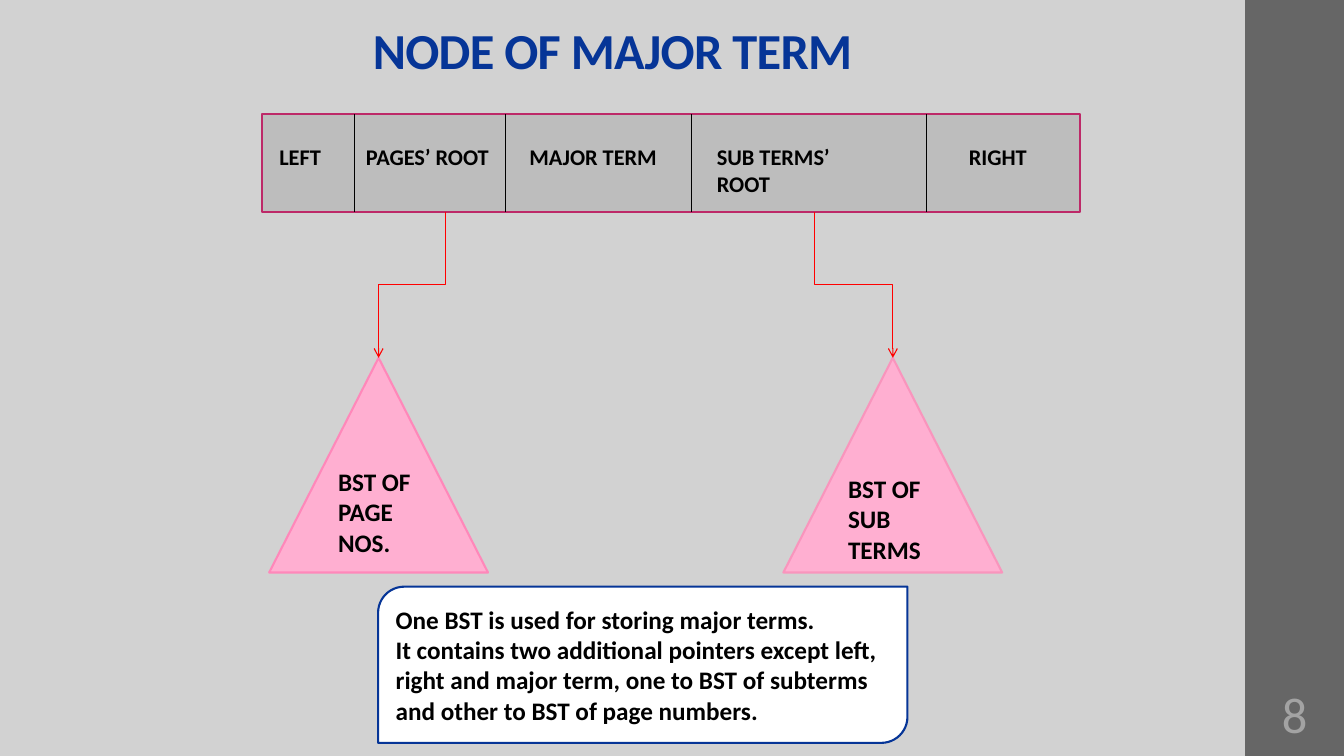
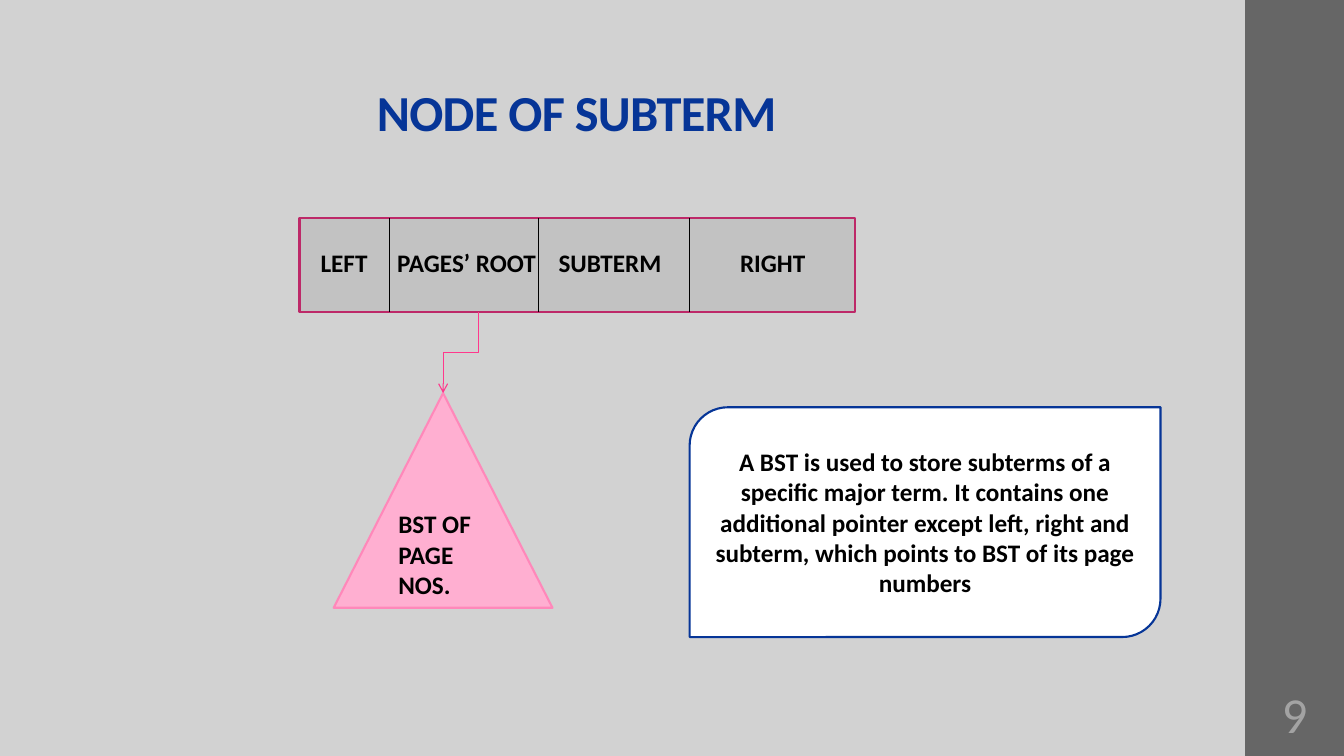
from dataclasses import dataclass

from pptx import Presentation
from pptx.dml.color import RGBColor
from pptx.enum.shapes import MSO_CONNECTOR, MSO_SHAPE
from pptx.enum.text import MSO_ANCHOR, PP_ALIGN
from pptx.oxml.ns import qn
from pptx.oxml.xmlchemy import OxmlElement
from pptx.util import Inches, Pt

RECT = MSO_SHAPE.RECTANGLE
TRIANGLE = MSO_SHAPE.ISOSCELES_TRIANGLE
DIAG_RECT = MSO_SHAPE.ROUND_2_DIAG_RECTANGLE
STRAIGHT, ELBOW = MSO_CONNECTOR.STRAIGHT, MSO_CONNECTOR.ELBOW
TOP, MIDDLE, BOTTOM = MSO_ANCHOR.TOP, MSO_ANCHOR.MIDDLE, MSO_ANCHOR.BOTTOM
LEFT, CENTER = PP_ALIGN.LEFT, PP_ALIGN.CENTER

FONT = "Calibri"
BACKGROUND, BAND, NUMBER = "D2D2D2", "666666", "A3A3A3"
BLUE, BLACK, WHITE = "063597", "000000", "FFFFFF"
NODE_LINE, TREE_FILL = "BD2968", "FFAFD1"
SLIDE_W, SLIDE_H = 13.33, 7.5
BAND_LEFT = 12.35
TREE_W, TREE_H = 2.17, 2.13
INSETS = (0.1, 0.05, 0.1, 0.05)
THIN, OUTLINE = 0.79, 1.5


@dataclass
class Field:
    text: str
    left: float
    text_left: float


@dataclass
class Node:
    box: tuple
    fill: str
    fields: list
    size: float
    text_top: float


@dataclass
class Tree:
    text: str
    left: float
    top: float
    line: str
    pointer_x: float
    pointer_color: str
    insets: tuple = INSETS


@dataclass
class Note:
    box: tuple
    paragraphs: list
    align: PP_ALIGN


@dataclass
class Page:
    number: int
    title: str
    title_box: tuple
    node: Node
    trees: list
    note: Note


def rgb(color: str) -> RGBColor:
    return RGBColor.from_string(color)


def write(sp, paragraphs, *, size, color=BLACK, bold=True, align=LEFT, anchor=MIDDLE,
          insets=INSETS, wrap=True, line_spacing=None, spacing=None):
    tf = sp.text_frame
    tf.word_wrap = wrap
    tf.vertical_anchor = anchor
    tf.margin_left, tf.margin_top, tf.margin_right, tf.margin_bottom = map(Inches, insets)
    for i, text in enumerate(paragraphs):
        p = tf.add_paragraph() if i else tf.paragraphs[0]
        p.alignment = align
        if line_spacing:
            p.line_spacing = line_spacing
        r = p.add_run()
        r.text = text
        r.font.name, r.font.size, r.font.bold = FONT, Pt(size), bold
        r.font.color.rgb = rgb(color)
        if spacing:
            r._r.get_or_add_rPr().set("spc", str(round(spacing * 100)))


def add_text(slide, box: tuple, text: str, **fmt):
    write(slide.shapes.add_textbox(*map(Inches, box)), [text], **fmt)


def add_box(slide, kind: MSO_SHAPE, box: tuple, fill: str, line: str = ""):
    sp = slide.shapes.add_shape(kind, *map(Inches, box))
    sp.shadow.inherit = False
    sp.fill.solid()
    sp.fill.fore_color.rgb = rgb(fill)
    if line:
        sp.line.color.rgb = rgb(line)
        sp.line.width = Pt(OUTLINE)
    else:
        sp.line.fill.background()
    return sp


def add_line(slide, kind: MSO_CONNECTOR, ends: tuple, color: str):
    line = slide.shapes.add_connector(kind, *map(Inches, ends))
    line.line.color.rgb = rgb(color)
    line.line.width = Pt(THIN)
    line._element.spPr.append(OxmlElement("a:effectLst"))
    return line


def add_pointer(slide, x1: float, y1: float, x2: float, y2: float, color: str):
    mid_x, mid_y = (x1 + x2) / 2, (y1 + y2) / 2
    half_w, half_h = (y2 - y1) / 2, abs(x2 - x1) / 2
    ends = (mid_x - half_w, mid_y - half_h, mid_x + half_w, mid_y + half_h)
    pointer = add_line(slide, ELBOW, ends, color)
    xfrm = pointer._element.spPr.find(qn("a:xfrm"))
    xfrm.set("rot", str((90 if x2 < x1 else 270) * 60000))
    if x2 > x1:
        xfrm.set("flipH", "1")
    tail = OxmlElement("a:tailEnd")
    tail.set("type", "arrow")
    pointer.line._get_or_add_ln().append(tail)


def draw_node(slide, node: Node):
    top, height = node.box[1], node.box[3]
    add_box(slide, RECT, node.box, node.fill, NODE_LINE)
    for i, field in enumerate(node.fields):
        if i:
            add_line(slide, STRAIGHT, (field.left, top, field.left, top + height), BLACK)
        add_text(slide, (field.text_left, node.text_top, 1.5, 0.4), field.text,
                 size=node.size, anchor=TOP, insets=(0, 0.05, 0, 0.05), wrap=False)


def draw_tree(slide, tree: Tree, node_bottom: float):
    sp = add_box(slide, TRIANGLE, (tree.left, tree.top, TREE_W, TREE_H), TREE_FILL, tree.line)
    write(sp, [tree.text], size=18, insets=tree.insets)
    add_pointer(slide, tree.pointer_x, node_bottom, tree.left + TREE_W / 2, tree.top,
                tree.pointer_color)


def draw_page(prs, page: Page):
    slide = prs.slides.add_slide(prs.slide_layouts[6])
    slide.background.fill.solid()
    slide.background.fill.fore_color.rgb = rgb(BACKGROUND)
    band_w = SLIDE_W - BAND_LEFT
    add_box(slide, RECT, (BAND_LEFT, 0, band_w, SLIDE_H), BAND)
    add_text(slide, page.title_box, page.title, size=36, color=BLUE, anchor=BOTTOM,
             line_spacing=0.9, spacing=-0.5)
    draw_node(slide, page.node)
    for tree in page.trees:
        draw_tree(slide, tree, page.node.box[1] + page.node.box[3])
    sp = add_box(slide, DIAG_RECT, page.note.box, WHITE, BLUE)
    write(sp, page.note.paragraphs, size=18, align=page.note.align)
    add_text(slide, (BAND_LEFT, 6.75, band_w, 0.65), str(page.number), size=36,
             color=NUMBER, bold=False, align=CENTER, insets=(0.05,) * 4)


PAGES = [
    Page(
        8, "NODE OF MAJOR TERM", (3.6, 0.1, 7.5, 0.75),
        Node((2.6, 1.13, 8.11, 0.97), "BDBDBD", [
            Field("LEFT", 2.6, 2.77),
            Field("PAGES’ ROOT", 3.52, 3.63),
            Field("MAJOR TERM", 5.01, 5.25),
            Field("SUB TERMS’ ROOT", 6.86, 7.11),
            Field("RIGHT", 9.19, 9.61),
        ], 16, 1.37),
        [
            Tree("BST OF PAGE NOS.", 2.67, 3.55, "FF88BA", 4.42, "FF0000",
                 (0.14, 0.05, 0.1, 0.19)),
            Tree("BST OF SUB TERMS", 7.77, 3.55, "F995BD", 8.08, "FF0000"),
        ],
        Note((3.75, 5.82, 5.25, 1.55), [
            "One BST is used for storing major terms.",
            "It contains two additional pointers except left, right and major term, "
            "one to BST of subterms and other to BST of page numbers.",
        ], LEFT),
    ),
    Page(
        9, "NODE OF SUBTERM", (3.64, 0.71, 7.3, 0.75),
        Node((2.97, 2.16, 5.51, 0.94), "C2C2C2", [
            Field("LEFT", 2.97, 3.18),
            Field("PAGES’ ROOT", 3.86, 3.94),
            Field("SUBTERM", 5.34, 5.54),
            Field("RIGHT", 6.84, 7.34),
        ], 18, 2.4),
        [Tree("BST OF PAGE NOS.", 3.31, 3.9, "FF88BA", 4.75, "FF388C")],
        Note((6.84, 4.04, 4.67, 2.28), [
            "A BST is used to store subterms of a specific major term. It contains one "
            "additional pointer except left, right and subterm, which points to BST of "
            "its page numbers",
        ], CENTER),
    ),
]


def main():
    prs = Presentation()
    prs.slide_width, prs.slide_height = Inches(SLIDE_W), Inches(SLIDE_H)
    for page in PAGES:
        draw_page(prs, page)
    prs.save("out.pptx")


main()
